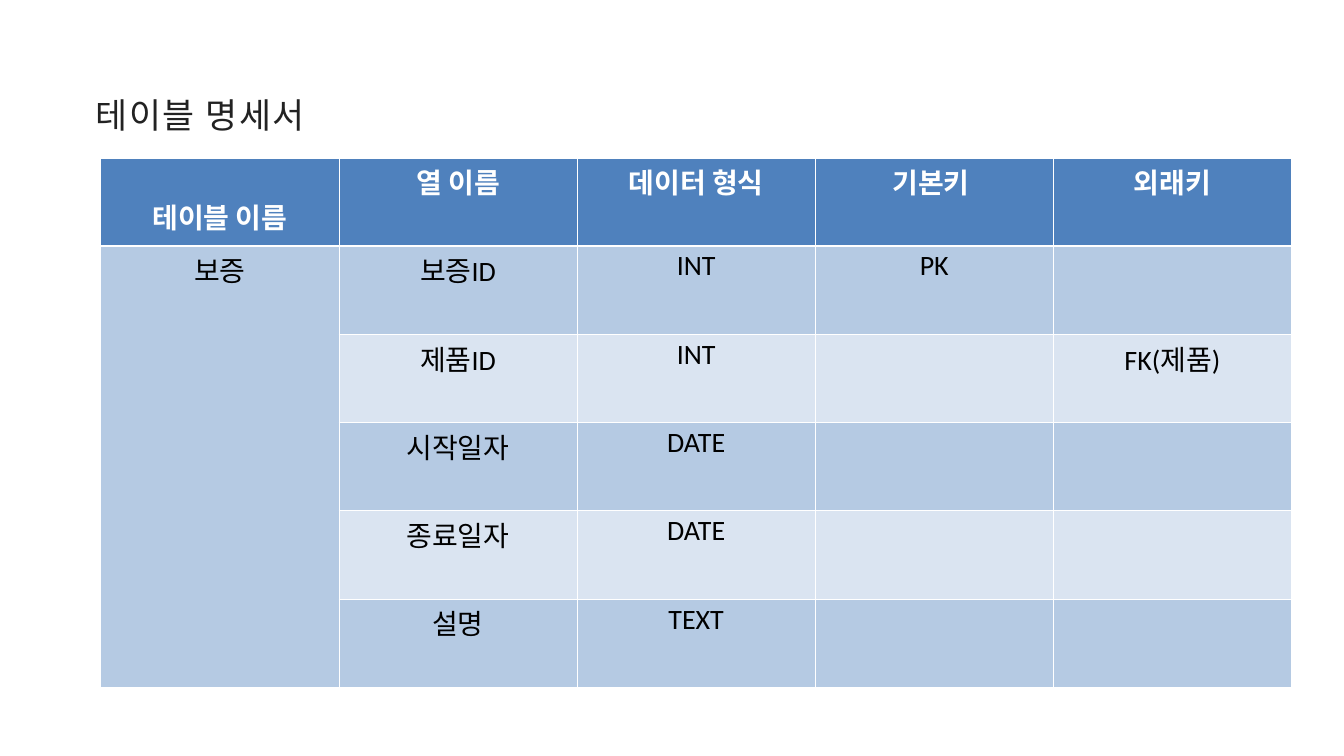
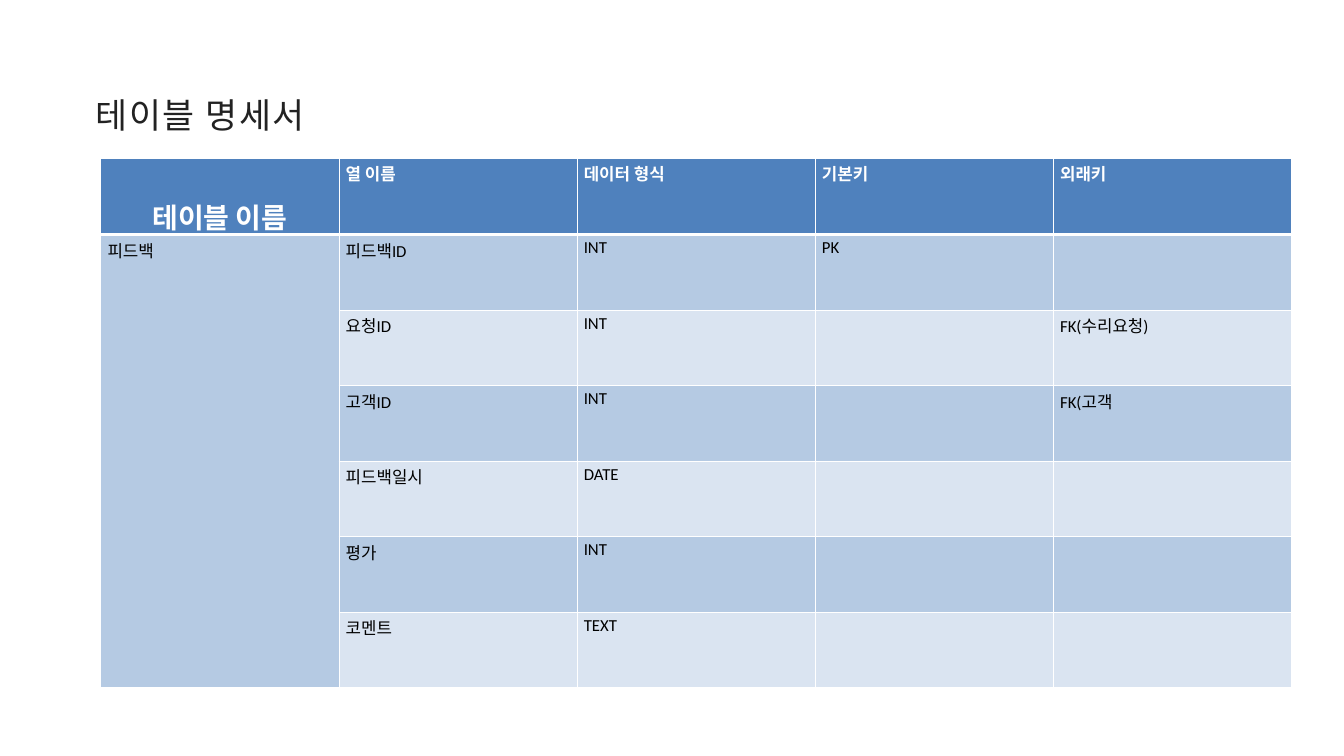
from dataclasses import dataclass

from lxml import etree
from pptx import Presentation
from pptx.dml.color import RGBColor
from pptx.enum.text import MSO_AUTO_SIZE, PP_ALIGN
from pptx.oxml.ns import qn
from pptx.util import Inches, Pt

CENTER, LEFT, JUSTIFY = PP_ALIGN.CENTER, PP_ALIGN.LEFT, PP_ALIGN.JUSTIFY
GROW = MSO_AUTO_SIZE.SHAPE_TO_FIT_TEXT


@dataclass(frozen=True)
class Theme:
    title_color: str = "222222"
    header_fill: str = "4F81BD"
    bands: tuple = ("B5CAE3", "DAE4F1")
    white: str = "FFFFFF"
    black: str = "000000"
    title_font: str = "Noto Sans CJK KR"
    table_font: str = "Calibri"
    title_size: float = 37.3
    title_leading: float = 51.9
    title_spacing: float = 1.7
    large: int = 30
    small: int = 18
    thin: int = 1
    thick: int = 3


THEME = Theme()
TITLE = "테이블 명세서"
TABLE_NAME_HEADER = "테이블 이름"

SPECS = [
    {
        "headers": ["열 이름", "데이터 형식", "기본키 ", "외래키"],
        "name": "보증",
        "columns": [
            ["보증ID", "INT", "PK", ""],
            ["제품ID", "INT", "", "FK(제품)"],
            ["시작일자", "DATE", "", ""],
            ["종료일자", "DATE", "", ""],
            ["설명", "TEXT", "", ""],
        ],
        "header_height": 1.31,
        "size": THEME.large,
        "align": CENTER,
    },
    {
        "headers": ["열 이름", "데이터 형식", "기본키", "외래키"],
        "name": "피드백",
        "columns": [
            ["피드백ID", "INT", "PK", ""],
            ["요청ID", "INT", "", "FK(수리요청)"],
            ["고객ID", "INT", "", "FK(고객"],
            ["피드백일시", "DATE", "", ""],
            ["평가", "INT", "", ""],
            ["코멘트", "TEXT", "", ""],
        ],
        "header_height": 1.14,
        "size": THEME.small,
        "align": LEFT,
    },
]


class SpecDeck:
    def __init__(self, theme):
        self.theme = theme
        self.prs = Presentation()
        self.prs.slide_width, self.prs.slide_height = Inches(20), Inches(11.25)
        self.slide = None

    def add_slide(self):
        self.slide = self.prs.slides.add_slide(self.prs.slide_layouts[6])

    def style(self, r, color, **font):
        r.font.color.rgb = RGBColor.from_string(color)
        for name, value in font.items():
            setattr(r.font, name, value)

    def title(self, text):
        t = self.theme
        sp = self.slide.shapes.add_textbox(
            Inches(1.42), Inches(1.29), Inches(4.25), Inches(0.72))
        tf = sp.text_frame
        frame = dict.fromkeys(
            ("margin_left", "margin_top", "margin_right", "margin_bottom"), 0)
        frame.update(word_wrap=True, auto_size=GROW)
        for name, value in frame.items():
            setattr(tf, name, value)
        p = tf.paragraphs[0]
        p.alignment, p.line_spacing = JUSTIFY, Pt(t.title_leading)
        r = p.add_run()
        r.text = text
        self.style(r, t.title_color, name=t.title_font, size=Pt(t.title_size))
        rPr = r.font._element
        rPr.set("spc", str(round(t.title_spacing * 100)))
        etree.SubElement(rPr, qn("a:ea"), typeface=t.title_font)

    def borders(self, cell, bottom):
        """Draw white lines on the four sides, with the bottom in its own width."""
        t = self.theme
        tcPr = cell._tc.get_or_add_tcPr()
        widths = {"a:lnL": t.thin, "a:lnR": t.thin, "a:lnT": t.thin, "a:lnB": bottom}
        for tag, width in widths.items():
            ln = etree.SubElement(tcPr, qn(tag), w=str(Pt(width)))
            fill = etree.SubElement(ln, qn("a:solidFill"))
            etree.SubElement(fill, qn("a:srgbClr"), val=t.white)

    def cell(self, cell, text, fill, color, size, align, bold=False):
        t = self.theme
        self.borders(cell, t.thick if bold else t.thin)
        cell.fill.solid()
        cell.fill.fore_color.rgb = RGBColor.from_string(fill)
        if text:
            p = cell.text_frame.paragraphs[0]
            p.alignment = align
            r = p.add_run()
            r.text = text
            self.style(r, color, name=t.table_font, size=Pt(size), bold=bold)

    def spec_table(self, headers, name, columns, header_height, size, align):
        t = self.theme
        rows, cols = len(columns) + 1, len(headers) + 1
        width, height = 17.72, 7.88
        table = self.slide.shapes.add_table(
            rows, cols, Inches(1.5), Inches(2.35), Inches(width), Inches(height)).table
        for column in table.columns:
            column.width = Inches(width / cols)
        for i, row in enumerate(table.rows):
            row.height = Inches(
                (height - header_height) / len(columns) if i else header_height)

        corner = table.cell(0, 0)
        self.cell(corner, TABLE_NAME_HEADER, t.header_fill, t.white, t.large,
                  CENTER, bold=True)
        corner.margin_top, corner.margin_bottom = Inches(0.56), 0
        for c, text in enumerate(headers, 1):
            self.cell(table.cell(0, c), text, t.header_fill, t.white, size,
                      align, bold=True)

        for i, values in enumerate(columns):
            texts = [name if i == 0 else "", *values]
            for c, text in enumerate(texts):
                fill = t.bands[i % 2 if c else 0]
                self.cell(table.cell(i + 1, c), text, fill, t.black, size, align)
        table.cell(1, 0).merge(table.cell(rows - 1, 0))


def main():
    deck = SpecDeck(THEME)
    for spec in SPECS:
        deck.add_slide()
        deck.title(TITLE)
        deck.spec_table(**spec)
    deck.prs.save("out.pptx")


if __name__ == "__main__":
    main()
